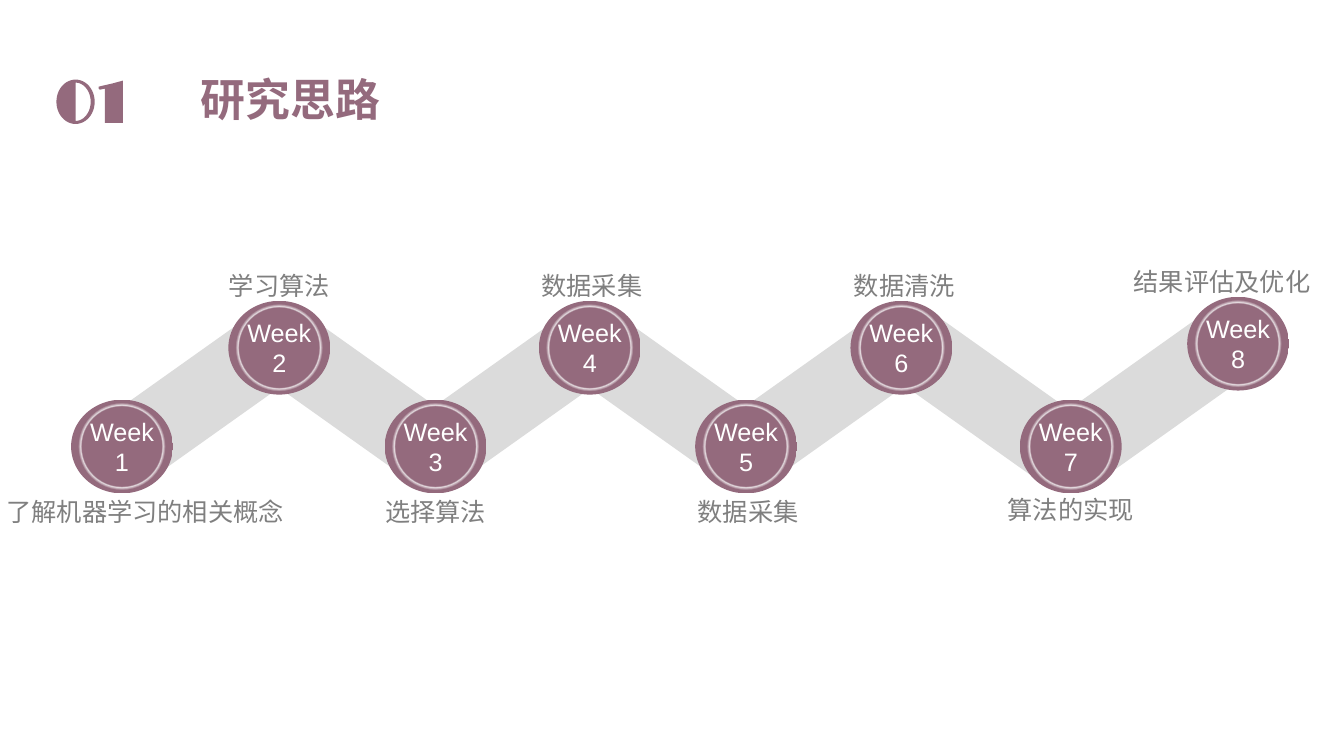
from dataclasses import dataclass
from itertools import pairwise
from math import cos, pi, sin

from lxml import etree
from pptx import Presentation
from pptx.dml.color import RGBColor
from pptx.enum.shapes import MSO_SHAPE as SHAPE
from pptx.enum.text import MSO_ANCHOR as ANCHOR, MSO_AUTO_SIZE as FIT, PP_ALIGN as ALIGN
from pptx.oxml import parse_xml
from pptx.oxml.ns import nsdecls, qn
from pptx.util import Inches, Pt


@dataclass(frozen=True)
class Theme:
    font: str = "Arial"
    mauve: str = "946A7D"
    ring: str = "EAE1E5"
    band: str = "DBDBDB"
    label: str = "7F7F7F"
    white: str = "FFFFFF"
    title_size: int = 32
    text_size: int = 18


class Deck:
    def __init__(self, theme, slide):
        self.t, self.s = theme, slide

    def box(self, x, y, w, h):
        return Inches(x), Inches(y), Inches(w), Inches(h)

    def add_text(self, sp, text, size, color, align, anchor, spacing=1.0, inset=0.0, bold=False):
        tf = sp.text_frame
        tf.auto_size, tf.word_wrap, tf.vertical_anchor = FIT.NONE, True, anchor
        tf.margin_left = tf.margin_right = Inches(inset)
        tf.margin_top = tf.margin_bottom = Inches(inset / 2)
        p = tf.paragraphs[0]
        p.alignment, p.line_spacing = align, spacing
        r = p.add_run()
        r.text = text
        r.font.name, r.font.size, r.font.bold = self.t.font, Pt(size), bold
        r.font.color.rgb = RGBColor.from_string(color)

    def paint(self, sp, color):
        sp.shadow.inherit = False
        sp.fill.solid()
        sp.fill.fore_color.rgb = RGBColor.from_string(color)
        sp.line.fill.background()

    def title(self, text, x, y, w, h):
        sp = self.s.shapes.title
        sp.left, sp.top, sp.width, sp.height = self.box(x, y, w, h)
        self.add_text(sp, text, self.t.title_size, self.t.mauve, ALIGN.LEFT, ANCHOR.MIDDLE,
                      spacing=0.9, inset=0.1, bold=True)

    def outline(self, contours, color):
        rings = [[(Inches(x), Inches(y)) for x, y in ring] for ring in contours]
        builder = self.s.shapes.build_freeform(*rings[0][0])
        builder.add_line_segments(rings[0][1:])
        for ring in rings[1:]:
            builder.move_to(*ring[0])
            builder.add_line_segments(ring[1:])
        self.paint(builder.convert_to_shape(), color)

    def band(self, cx, cy, w, h, angle):
        sp = self.s.shapes.add_shape(SHAPE.ROUNDED_RECTANGLE,
                                     *self.box(cx - w / 2, cy - h / 2, w, h))
        sp.adjustments[0] = 0.5
        sp.rotation = angle
        self.paint(sp, self.t.band)

    def badge(self, text, cx, cy, w, h):
        sp = self.s.shapes.add_shape(SHAPE.OVAL, *self.box(cx - w / 2, cy - h / 2, w, h))
        self.paint(sp, self.t.mauve)
        # Radial gradient that leaves a thin pale ring
        grad = parse_xml(f'<a:gradFill {nsdecls("a")} rotWithShape="1"><a:gsLst/>'
                         '<a:path path="circle"><a:fillToRect l="50000" t="50000" '
                         'r="50000" b="50000"/></a:path></a:gradFill>')
        for pos in (0, 57, 59, 63, 100):
            stop = etree.SubElement(grad[0], qn("a:gs"), pos=str(pos * 1000))
            color = self.t.ring if pos == 59 else self.t.mauve
            etree.SubElement(stop, qn("a:srgbClr"), val=color)
        props = sp.element.spPr
        props.replace(props.find(qn("a:solidFill")), grad)
        self.add_text(sp, text, self.t.text_size, self.t.white, ALIGN.CENTER, ANCHOR.MIDDLE)

    def label(self, text, cx, y, w, h, anchor):
        sp = self.s.shapes.add_textbox(*self.box(cx - w / 2, y, w, h))
        self.add_text(sp, text, self.t.text_size, self.t.label, ALIGN.CENTER, anchor, spacing=1.1)


def arc(cx, cy, rx, ry, start, end, steps=48):
    angles = [start + (end - start) * i / steps for i in range(steps + 1)]
    return [(cx + rx * cos(a), cy + ry * sin(a)) for a in angles]


prs = Presentation()
prs.slide_width, prs.slide_height = Inches(13.33), Inches(7.5)
deck = Deck(Theme(), prs.slides.add_slide(prs.slide_layouts[5]))

# Heading and section number 01
deck.title("研究思路", 1.89, 0.58, 2.12, 0.87)
zero_outer = arc(0.75, 1.01, 0.19, 0.22, 0, 2 * pi)
zero_inner = arc(0.75, 1.01, 0.15, 0.19, -pi / 2, pi / 2)
one = [(1.22, 0.8), (1.22, 1.22), (1.04, 1.22), (1.04, 0.88), (0.99, 0.89),
       (0.98, 0.88), (0.98, 0.86), (1.02, 0.85), (1.11, 0.83), (1.22, 0.8)]
deck.outline([zero_outer, zero_inner, one], deck.t.mauve)

# Weeks: badge centre x, y; label, its centre x, top and width
LOW, HIGH = 4.43, 3.45
weeks = [
    (1.21, LOW, "了解机器学习的相关概念", 1.44, 4.89, 3.1),
    (2.77, HIGH, "学习算法", 2.77, 2.42, 2.66),
    (4.32, LOW, "选择算法", 4.32, 4.89, 2.66),
    (5.85, HIGH, "数据采集", 5.87, 2.42, 2.66),
    (7.4, LOW, "数据采集", 7.42, 4.89, 2.66),
    (8.94, HIGH, "数据清洗", 8.97, 2.42, 2.66),
    (10.62, LOW, "算法的实现", 10.62, 4.87, 2.66),
    (12.28, HIGH - 0.04, "结果评估及优化", 12.12, 2.38, 2.66),
]

# Zigzag bands halfway between neighbouring weeks
TILT = 35.4
for (x1, y1, *_), (x2, y2, *_) in pairwise(weeks):
    deck.band((x1 + x2) / 2, (y1 + y2) / 2, 2.66, 0.75, TILT if y2 > y1 else 360 - TILT)

# Badges and labels
for number, (x, y, text, label_x, label_y, width) in enumerate(weeks, 1):
    deck.badge(f"Week{number}", x, y, 1.01, 0.93)
    anchor = ANCHOR.TOP if y == LOW else ANCHOR.BOTTOM
    deck.label(text, label_x, label_y, width, 0.56, anchor)

prs.save("out.pptx")
